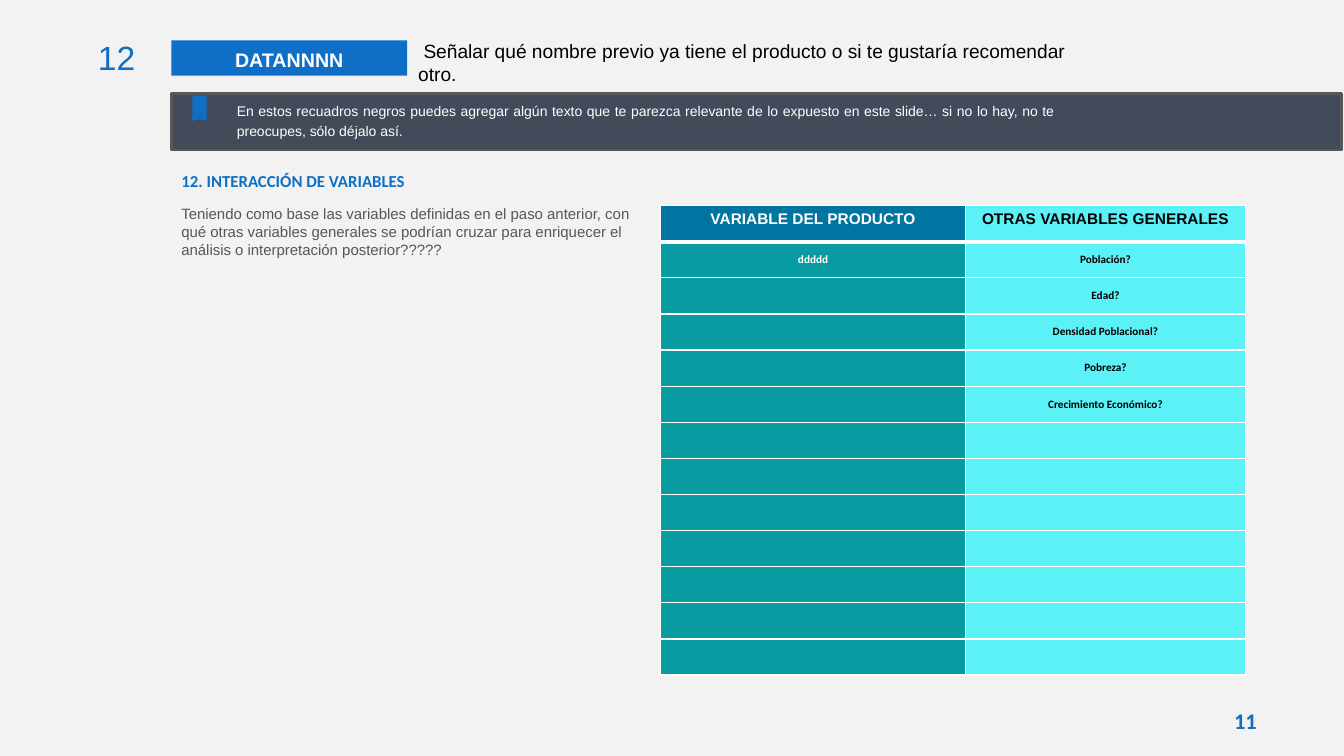
"""Builds the slide on how product variables interact with general variables."""
from lxml import etree
from pptx import Presentation
from pptx.dml.color import RGBColor
from pptx.enum.shapes import MSO_SHAPE
from pptx.enum.text import MSO_ANCHOR, PP_ALIGN
from pptx.oxml.ns import qn
from pptx.util import Cm, Pt

RECTANGLE = MSO_SHAPE.RECTANGLE
TOP, MIDDLE = MSO_ANCHOR.TOP, MSO_ANCHOR.MIDDLE
LEFT, CENTER, RIGHT, JUSTIFY = PP_ALIGN.LEFT, PP_ALIGN.CENTER, PP_ALIGN.RIGHT, PP_ALIGN.JUSTIFY

COLORS = {
    "background": "F2F2F2", "accent": "0F6FC6", "band": "434A59", "gray": "575756",
    "white": "FFFFFF", "black": "000000", "header": "0075A2", "teal": "089CA2", "cyan": "5CF0F7",
}
INSETS = {"margin_left": Cm(0.25), "margin_right": Cm(0.25),
          "margin_top": Cm(0.13), "margin_bottom": Cm(0.13)}
NO_INSETS = dict.fromkeys(INSETS, 0)


def rgb(name):
    return RGBColor.from_string(COLORS[name])


def apply(target, values):
    for attribute, value in values.items():
        setattr(target, attribute, value)


class SlideBuilder:
    def __init__(self, slide):
        self.slide = slide
        slide.background.fill.solid()
        slide.background.fill.fore_color.rgb = rgb("background")

    def put_text(self, frame, text, size, color, font="Arial", bold=False, align=LEFT, spacing=1.0):
        paragraph = frame.paragraphs[0]
        apply(paragraph, {"alignment": align, "line_spacing": spacing})
        run = paragraph.add_run()
        run.text = text
        apply(run.font, {"name": font, "size": Pt(size), "bold": bold})
        run.font.color.rgb = rgb(color)

    def paint(self, shape, fill, line=None):
        shape.shadow.inherit = False
        shape.fill.solid()
        shape.fill.fore_color.rgb = rgb(fill)
        if line:
            shape.line.color.rgb = rgb(line)
            shape.line.width = Pt(2)
        else:
            shape.line.fill.background()

    def text(self, box, text, size, color, anchor=TOP, insets=INSETS, **style):
        frame = self.slide.shapes.add_textbox(*map(Cm, box)).text_frame
        apply(frame, {"word_wrap": True, "vertical_anchor": anchor, **insets})
        self.put_text(frame, text, size, color, **style)

    def rectangle(self, box, fill, line=None):
        shape = self.slide.shapes.add_shape(RECTANGLE, *map(Cm, box))
        self.paint(shape, fill, line)
        return shape

    def label(self, box, fill, text, size, color, **style):
        frame = self.rectangle(box, fill).text_frame
        apply(frame, {"word_wrap": True, "vertical_anchor": TOP, **INSETS})
        self.put_text(frame, text, size, color, **style)

    def outline(self, points, fill):
        start, *rest = [(Cm(x), Cm(y)) for x, y in points]
        builder = self.slide.shapes.build_freeform(*start)
        builder.add_line_segments(rest, close=True)
        self.paint(builder.convert_to_shape(), fill)

    def border(self, cell, bottom):
        properties = cell._tc.get_or_add_tcPr()
        for side, width in (("L", 1), ("R", 1), ("T", 1), ("B", bottom)):
            line = etree.SubElement(properties, qn(f"a:ln{side}"), w=str(Pt(width)))
            fill = etree.SubElement(line, qn("a:solidFill"))
            etree.SubElement(fill, qn("a:srgbClr"), val=COLORS["white"])

    def table(self, left, top, row_height, row_count, columns):
        height = row_height * row_count
        width = sum(column["width"] for column in columns)
        table = self.slide.shapes.add_table(
            row_count, len(columns), *map(Cm, (left, top, width, height))).table
        apply(table, {"first_row": False, "horz_banding": False})
        for row in table.rows:
            row.height = Cm(row_height)
        for index, column in enumerate(columns):
            table.columns[index].width = Cm(column["width"])
            for row in range(row_count):
                cell, is_header = table.cell(row, index), row == 0
                apply(cell, INSETS if is_header else NO_INSETS)
                cell.vertical_anchor = TOP if is_header else MIDDLE
                self.border(cell, 3 if is_header else 1)
                cell.fill.solid()
                cell.fill.fore_color.rgb = rgb(column["header_fill" if is_header else "fill"])
                if row < len(column["entries"]):
                    size, font = (11, "Arial") if is_header else (8, "Calibri")
                    self.put_text(cell.text_frame, column["entries"][row], size, column["color"],
                                  font=font, bold=True, align=CENTER)


presentation = Presentation()
apply(presentation, {"slide_width": Cm(33.87), "slide_height": Cm(19.05)})
builder = SlideBuilder(presentation.slides.add_slide(presentation.slide_layouts[6]))

builder.text((30.61, 17.78, 1.55, 0.84), "11", 16, "accent", font="Calibri", bold=True, align=CENTER,
             insets={"margin_left": Cm(0.13), "margin_right": Cm(0.13),
                     "margin_top": Cm(0.05), "margin_bottom": Cm(0.05)})
builder.text((10.29, 0.86, 16.89, 1.42),
             " Señalar qué nombre previo ya tiene el producto o si te gustaría recomendar otro.",
             13.7, "black", anchor=MIDDLE)
builder.label((4.32, 1.02, 5.94, 0.89), "accent", "DATANNNN", 14, "white",
              bold=True, align=CENTER, spacing=1.1)
builder.text((1.98, 0.81, 1.68, 1.27), "12", 24, "accent", align=RIGHT)

builder.rectangle((4.32, 2.36, 29.49, 1.42), "band", "gray")
builder.outline([(5.21, 2.41), (5.21, 3.05), (5.03, 3.0), (4.85, 3.05), (4.85, 2.41)], "accent")
builder.text((5.72, 2.36, 21.08, 1.42),
             "En estos recuadros negros puedes agregar algún texto que te parezca relevante de lo "
             "expuesto en este slide… si no lo hay, no te preocupes, sólo déjalo así.",
             10, "white", align=JUSTIFY, spacing=1.2)

builder.text((4.32, 4.17, 12.6, 0.76), "12. INTERACCIÓN DE VARIABLES", 12, "accent",
             font="Calibri", bold=True)
builder.text((4.32, 5.03, 11.86, 1.63),
             "Teniendo como base las variables definidas en el paso anterior, con qué otras variables "
             "generales se podrían cruzar para enriquecer el análisis o interpretación posterior?????",
             10.7, "gray")

product = {"width": 7.7, "header_fill": "header", "fill": "teal", "color": "white",
           "entries": ["VARIABLE DEL PRODUCTO", "ddddd"]}
general = {"width": 7.04, "header_fill": "cyan", "fill": "cyan", "color": "black",
           "entries": ["OTRAS VARIABLES GENERALES", "Población?", "Edad?", "Densidad Poblacional?",
                       "Pobreza?", "Crecimiento Económico?"]}
builder.table(16.64, 5.18, 0.91, 13, [product, general])

presentation.save("out.pptx")
